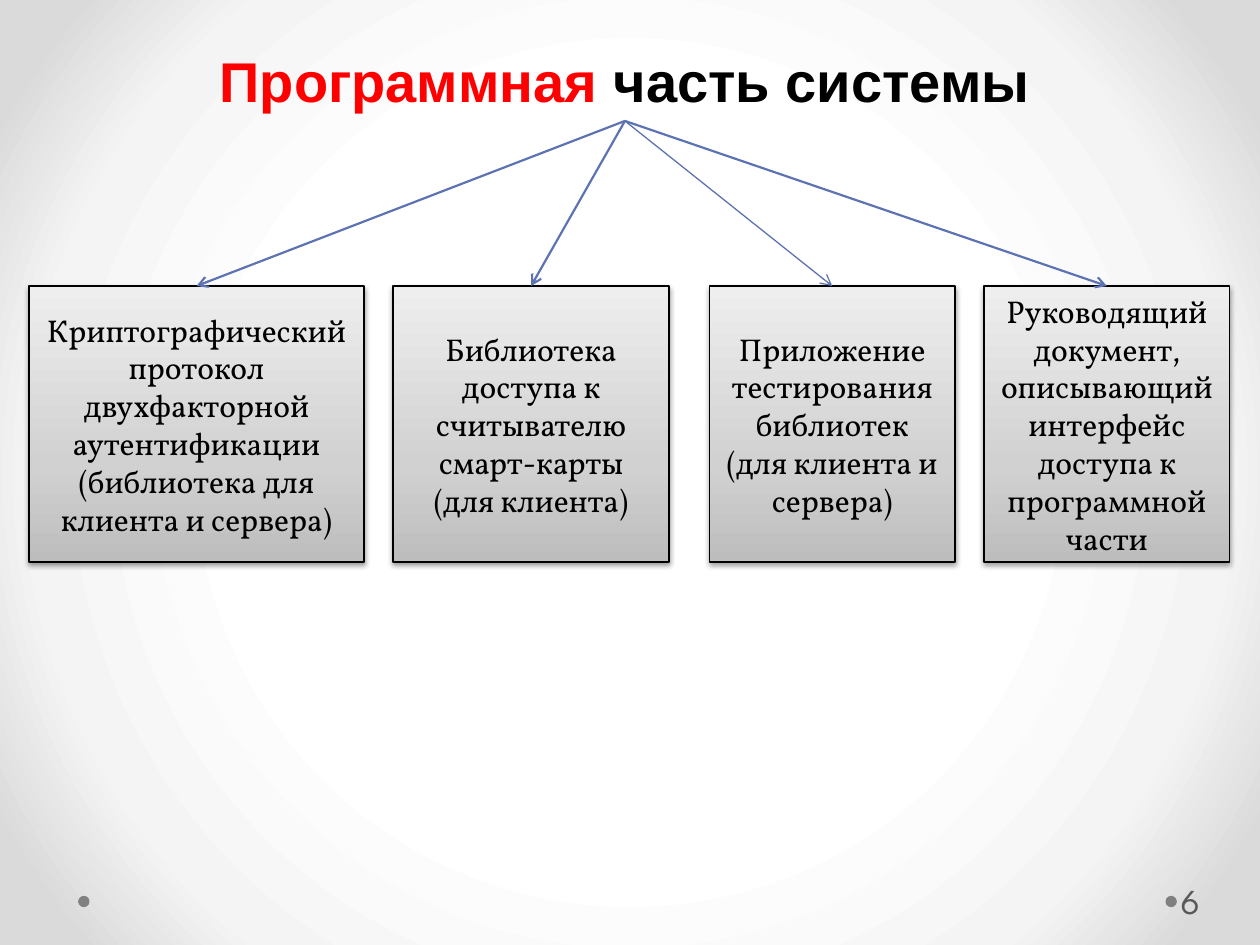
"""Builds a slide that splits the software part of a system into four boxes."""
from dataclasses import dataclass

from lxml import etree
from pptx import Presentation
from pptx.dml.color import RGBColor
from pptx.enum import shapes, text
from pptx.oxml import ns, parse_xml
from pptx.util import Inches, Pt


@dataclass(frozen=True)
class Theme:
    black: str = "000000"
    red: str = "FF0000"
    arrow: str = "5C72B2"
    dot: str = "808080"
    number: str = "595959"
    back_stops: tuple = ((50, "FFFFFF"), (76, "F4F4F4"), (92, "DADADA"))
    box_stops: tuple = ((0, "BDBDBD"), (35, "D1D1D1"), (100, "EEEEEE"))
    title_font: str = "Arial"
    body_font: str = "Vollkorn"
    number_font: str = "League Spartan"
    title_size: int = 32
    body_size: int = 18
    number_size: int = 20


@dataclass(frozen=True)
class Box:
    left: float
    width: float
    paragraphs: tuple
    arrow_width: float = 1.25


THEME = Theme()
BOX_TOP, BOX_HEIGHT = 2.27, 2.19
RADIAL = ('<a:path path="circle"><a:fillToRect l="50000" t="50000" '
          'r="50000" b="50000"/></a:path>')
UPWARD = '<a:lin ang="16200000" scaled="0"/>'
BOXES = (
    Box(0.23, 2.66, ("Криптографический протокол двухфакторной аутентификации",
                     "(библиотека для клиента и сервера)")),
    Box(3.12, 2.19, ("Библиотека доступа к считывателю смарт-карты",
                     "(для клиента)")),
    Box(5.63, 1.95, ("Приложение тестирования библиотек",
                     "(для клиента и сервера)"), 0.75),
    Box(7.81, 1.95, ("Руководящий документ, описывающий интерфейс "
                     "доступа к программной части",)),
)


def gradient_xml(stops: tuple, direction: str) -> str:
    """Return a gradient fill with the given stops and direction."""
    marks = "".join(f'<a:gs pos="{pos * 1000}"><a:srgbClr val="{color}"/></a:gs>'
                    for pos, color in stops)
    return (f'<a:gradFill {ns.nsdecls("a")} rotWithShape="1">'
            f'<a:gsLst>{marks}</a:gsLst>{direction}</a:gradFill>')


def set_background(s) -> None:
    """Give the slide its radial background."""
    s.background.fill.solid()
    solid = s.background._cSld.find(".//" + ns.qn("a:solidFill"))
    solid.getparent().replace(solid, parse_xml(gradient_xml(THEME.back_stops, RADIAL)))


def add_run(p, content: str, name: str, size: int, color: str, bold: bool = False) -> None:
    """Add a formatted run to a paragraph."""
    r = p.add_run()
    r.text = content
    for key, value in {"name": name, "size": Pt(size), "bold": bold}.items():
        setattr(r.font, key, value)
    r.font.color.rgb = RGBColor.from_string(color)


def add_dot(s, left: float) -> None:
    """Draw a footer dot."""
    sp = s.shapes.add_shape(shapes.MSO_SHAPE.OVAL, Inches(left), Inches(7.11),
                            Inches(0.09), Inches(0.09))
    sp.shadow.inherit = False
    sp.fill.solid()
    sp.fill.fore_color.rgb = RGBColor.from_string(THEME.dot)
    sp.line.fill.background()


def add_number(s) -> None:
    """Write the slide number."""
    tf = s.shapes.add_textbox(Inches(9.34), Inches(6.95),
                              Inches(0.61), Inches(0.4)).text_frame
    for key, value in {"word_wrap": True, "vertical_anchor": text.MSO_ANCHOR.MIDDLE,
                       "margin_left": Inches(0.03),
                       "margin_right": Inches(0.05)}.items():
        setattr(tf, key, value)
    add_run(tf.paragraphs[0], "6", THEME.number_font, THEME.number_size, THEME.number)


def add_title(s):
    """Write the two-coloured title and return its shape."""
    sp = s.shapes.add_textbox(Inches(1.22), Inches(0.32), Inches(7.48), Inches(0.64))
    tf = sp.text_frame
    tf.word_wrap = True
    tf.auto_size = text.MSO_AUTO_SIZE.SHAPE_TO_FIT_TEXT
    p = tf.paragraphs[0]
    p.alignment = text.PP_ALIGN.CENTER
    for content, color in (("Программная ", THEME.red), ("часть системы", THEME.black)):
        add_run(p, content, THEME.title_font, THEME.title_size, color, True)
    return sp


def add_box(s, box: Box):
    """Draw a shaded box with its text and return its shape."""
    sp = s.shapes.add_shape(shapes.MSO_SHAPE.RECTANGLE, Inches(box.left), Inches(BOX_TOP),
                            Inches(box.width), Inches(BOX_HEIGHT))
    sp.line.color.rgb = RGBColor.from_string(THEME.black)
    sp.line.width = Pt(0.75)
    sp.shadow.inherit = False
    props = sp._element.spPr
    props.find(ns.qn("a:prstGeom")).addnext(
        parse_xml(gradient_xml(THEME.box_stops, UPWARD)))
    props.find(ns.qn("a:effectLst")).append(parse_xml(
        f'<a:outerShdw {ns.nsdecls("a")} blurRad="40000" dist="20000" dir="5400000" '
        f'rotWithShape="0"><a:srgbClr val="{THEME.black}"><a:alpha val="38000"/>'
        '</a:srgbClr></a:outerShdw>'))
    tf = sp.text_frame
    tf.word_wrap = True
    tf.vertical_anchor = text.MSO_ANCHOR.MIDDLE
    for i, content in enumerate(box.paragraphs):
        p = tf.add_paragraph() if i else tf.paragraphs[0]
        p.alignment = text.PP_ALIGN.CENTER
        add_run(p, content, THEME.body_font, THEME.body_size, THEME.black)
    return sp


def add_arrow(s, source, target, width: float) -> None:
    """Join the bottom of one shape to the top of another."""
    cx = s.shapes.add_connector(shapes.MSO_CONNECTOR.STRAIGHT, 0, 0, 0, 0)
    cx.begin_connect(source, 2)
    cx.end_connect(target, 0)
    cx.line.color.rgb = RGBColor.from_string(THEME.arrow)
    cx.line.width = Pt(width)
    etree.SubElement(cx.line._get_or_add_ln(), ns.qn("a:tailEnd"), type="arrow")
    etree.SubElement(cx._element.spPr, ns.qn("a:effectLst"))


def main() -> None:
    """Build and save the slide."""
    prs = Presentation()
    prs.slide_width, prs.slide_height = Inches(10), Inches(7.5)
    s = prs.slides.add_slide(prs.slide_layouts[6])
    set_background(s)
    for left in (9.25, 0.62):
        add_dot(s, left)
    add_number(s)
    title = add_title(s)
    for box in BOXES:
        add_arrow(s, title, add_box(s, box), box.arrow_width)
    prs.save("out.pptx")


if __name__ == "__main__":
    main()
